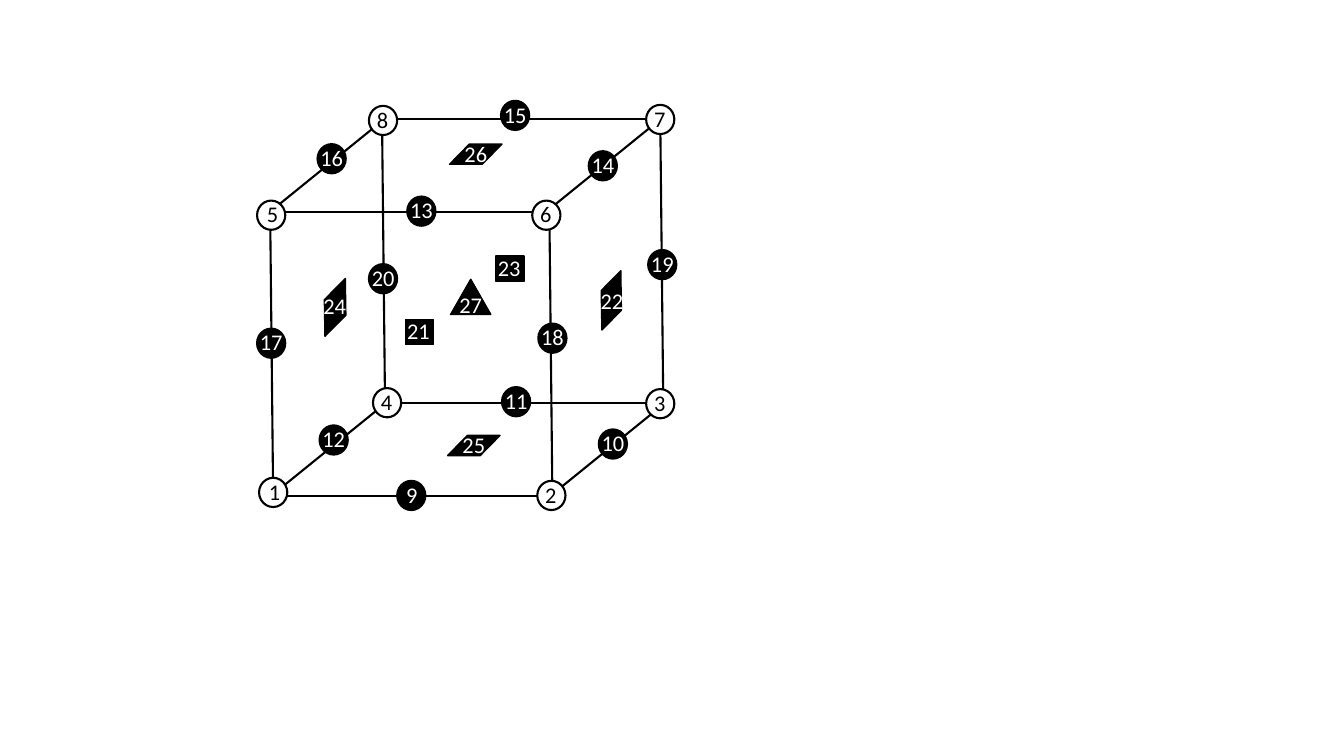
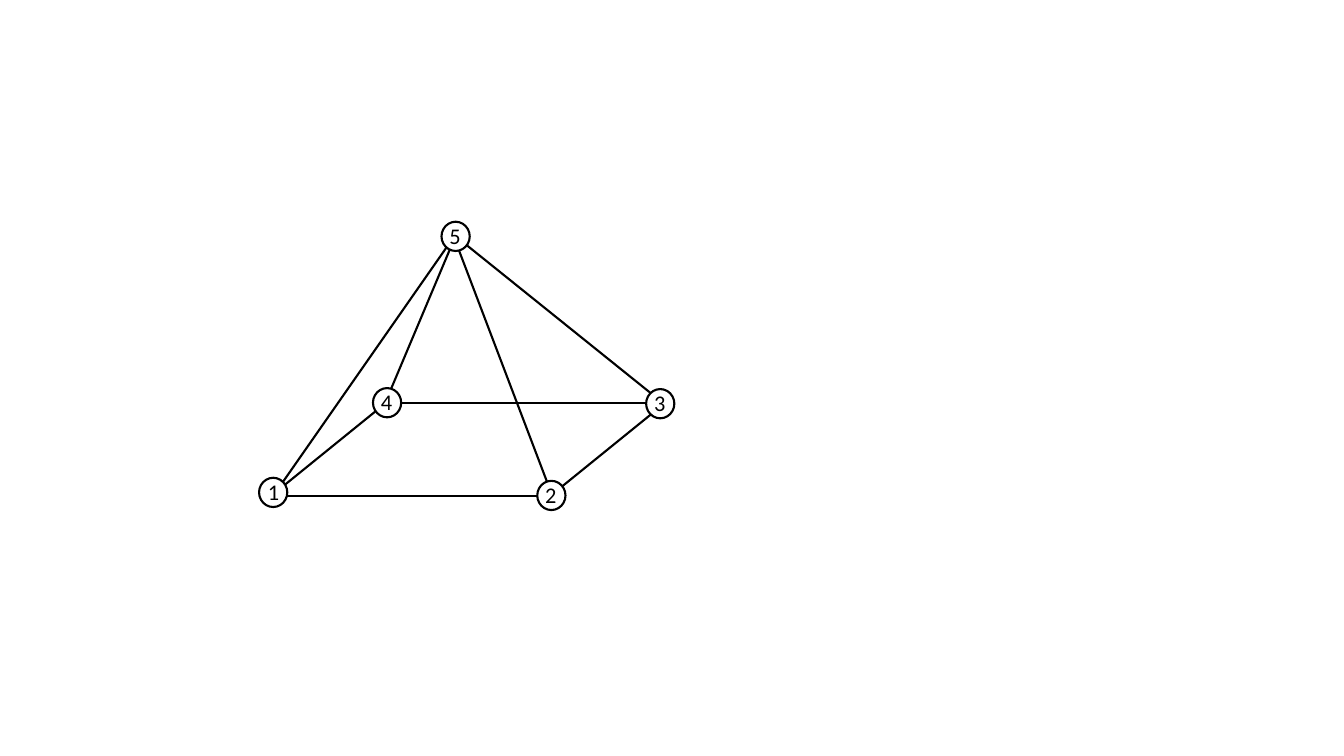
"""Draw numbered finite element node diagrams: a 27-node cube and a 5-node pyramid."""
from dataclasses import dataclass

from lxml import etree
from pptx import Presentation, util as u
from pptx.dml.color import RGBColor
from pptx.enum import shapes, text
from pptx.oxml.ns import qn


@dataclass(frozen=True)
class Theme:
    """Colours, type, line widths and the grid (100 columns = 10 inches)."""
    ink: RGBColor = RGBColor(0, 0, 0)
    paper: RGBColor = RGBColor(255, 255, 255)
    font: str = "Calibri"
    label_size: int = 16
    edge_width: float = 1.5
    face_width: float = 1
    cell: float = 0.1
    columns: float = 133.33
    rows: float = 75


class Diagram:
    """A presentation in one style, with the group of the current slide."""

    def __init__(self, theme):
        self.theme = theme
        self.presentation = Presentation()
        self.presentation.slide_width = self.length(theme.columns)
        self.presentation.slide_height = self.length(theme.rows)
        self.group = None

    def length(self, cells):
        """Turn grid cells into a slide length."""
        return u.Inches(cells * self.theme.cell)

    def box(self, *cells):
        """Turn several grid values into lengths."""
        return [self.length(value) for value in cells]

    def new_slide(self):
        """Start a blank slide with one group for its diagram."""
        layout = self.presentation.slide_layouts[6]
        slide = self.presentation.slides.add_slide(layout)
        self.group = slide.shapes.add_group_shape().shapes

    def outline(self, shape, width):
        """Give a shape or line the ink outline."""
        shape.line.color.rgb = self.theme.ink
        shape.line.width = u.Pt(width)

    def edge(self, start, end):
        """Draw a straight edge between two grid points."""
        line = self.group.add_connector(
            shapes.MSO_CONNECTOR.STRAIGHT, *self.box(*start, *end))
        self.outline(line, self.theme.edge_width)
        etree.SubElement(line._element.spPr, qn("a:effectLst"))

    def edges(self, run, starts):
        """Draw parallel edges that share one run."""
        for x, y in starts:
            self.edge((x, y), (x + run[0], y + run[1]))

    def mark(self, kind, place, fill, width, rotation=0, slant=None):
        """Draw a filled node mark."""
        shape = self.group.add_shape(kind, *self.box(*place))
        shape.shadow.inherit = False
        shape.fill.solid()
        shape.fill.fore_color.rgb = fill
        self.outline(shape, width)
        shape.rotation = rotation
        if slant is not None:
            shape.adjustments[0] = slant

    def label(self, number, left, top, color):
        """Write a node number."""
        width = 3.6 if number < 10 else 5
        frame = self.group.add_textbox(*self.box(left, top, width, 3.7)).text_frame
        frame.word_wrap = True
        frame.auto_size = text.MSO_AUTO_SIZE.SHAPE_TO_FIT_TEXT
        run = frame.paragraphs[0].add_run()
        run.text = str(number)
        style = {"name": self.theme.font, "size": u.Pt(self.theme.label_size)}
        for name, value in style.items():
            setattr(run.font, name, value)
        run.font.color.rgb = color

    def nodes(self, places, fill, color, nudges):
        """Draw round nodes with their numbers set over them."""
        for number, (left, top) in places.items():
            self.mark(shapes.MSO_SHAPE.OVAL, (left, top, 2.8, 2.9),
                      fill, self.theme.edge_width)
            shift = nudges.get(number, -0.2 if number < 10 else -0.7)
            self.label(number, left + shift, top - 0.5, color)

    def corners(self, places, nudges):
        """Draw white corner nodes."""
        self.nodes(places, self.theme.paper, self.theme.ink, nudges)

    def midpoints(self, places, nudges):
        """Draw black mid-edge nodes."""
        self.nodes(places, self.theme.ink, self.theme.paper, nudges)

    def faces(self, faces):
        """Draw the face and centre nodes, then their numbers."""
        for _, _, kind, place, rotation, slant in faces:
            self.mark(kind, place, self.theme.ink, self.theme.face_width,
                      rotation, slant)
        for number, spot, *_ in faces:
            self.label(number, *spot, self.theme.paper)


ACROSS, UP, DEEP = (27.6, 0), (0.3, 28.2), (11.35, -9.2)
BASE_ACROSS = [(27.1, 49.2), (38.2, 40)]
BASE_DEEP = [(26.9, 49.2), (54.6, 49.2)]
BASE_CORNERS = {1: (25.7, 47.4), 2: (53.3, 47.7), 3: (64.1, 38.6), 4: (37, 38.5)}

TOP_ACROSS = [(26.8, 21), (37.9, 11.8)]
TOP_DEEP = [(26.8, 21), (54.2, 21)]
UPRIGHTS = [(26.8, 21), (54.5, 21), (65.5, 11.8), (37.9, 11.8)]
TOP_CORNERS = {5: (25.5, 19.9), 6: (52.8, 19.9), 7: (64.1, 10.4), 8: (36.6, 10.5)}
MIDPOINTS = {
    9: (39.4, 47.7), 10: (59.4, 42.6), 11: (49.8, 38.4), 12: (31.7, 42.2),
    13: (40.4, 19.5), 14: (58.4, 15), 15: (49.7, 10), 16: (31.5, 14.3),
    17: (25.5, 32.6), 18: (53.4, 32.1), 19: (64.3, 24.8), 20: (36.6, 26.2),
}

SQUARE = shapes.MSO_SHAPE.RECTANGLE
SKEWED = shapes.MSO_SHAPE.PARALLELOGRAM
TRIANGLE = shapes.MSO_SHAPE.ISOSCELES_TRIANGLE
TILT, SLANT = 314.7, 0.98
FACES = [
    (21, (39.4, 31), SQUARE, (40.2, 31.7, 2.8, 2.5), 0, None),
    (22, (58.6, 28), SKEWED, (57.9, 28.4, 5.5, 2.8), TILT, SLANT),
    (23, (48.4, 24.7), SQUARE, (49.2, 25.4, 2.8, 2.5), 0, None),
    (24, (31.1, 28.5), SKEWED, (30.5, 29.2, 5.5, 2.6), TILT, SLANT),
    (25, (44.9, 42.3), SKEWED, (44.4, 43.2, 5.2, 2), 0, SLANT),
    (26, (45.1, 13.4), SKEWED, (44.6, 14.3, 5.2, 2), 0, SLANT),
    (27, (44.6, 28.4), TRIANGLE, (44.7, 27.7, 4, 3.5), 0, None),
]

APEX = {5: (43.8, 22)}
SLOPES = [
    ((45.1, 23.4), (27.1, 49.2)), ((45.1, 23.7), (54.8, 49.2)),
    ((45.4, 23.6), (65.8, 40)), ((45.2, 23.4), (38.2, 40)),
]


def draw_cube(diagram):
    """Draw the cube with corner, edge, face and centre nodes."""
    diagram.new_slide()
    diagram.edges(UP, UPRIGHTS)
    diagram.edges(ACROSS, TOP_ACROSS + BASE_ACROSS)
    diagram.edges(DEEP, TOP_DEEP + BASE_DEEP)
    diagram.corners({**BASE_CORNERS, **TOP_CORNERS}, {1: 0, 5: 0})
    diagram.midpoints(MIDPOINTS, {9: -0.1})
    diagram.faces(FACES)


def draw_pyramid(diagram):
    """Draw the pyramid with its corner nodes."""
    diagram.new_slide()
    for start, end in SLOPES:
        diagram.edge(start, end)
    diagram.edges(ACROSS, BASE_ACROSS)
    diagram.edges(DEEP, BASE_DEEP)
    diagram.corners({**APEX, **BASE_CORNERS}, {1: -0.1})


def main():
    """Build both slides and save them."""
    diagram = Diagram(Theme())
    draw_cube(diagram)
    draw_pyramid(diagram)
    diagram.presentation.save("out.pptx")


if __name__ == "__main__":
    main()
